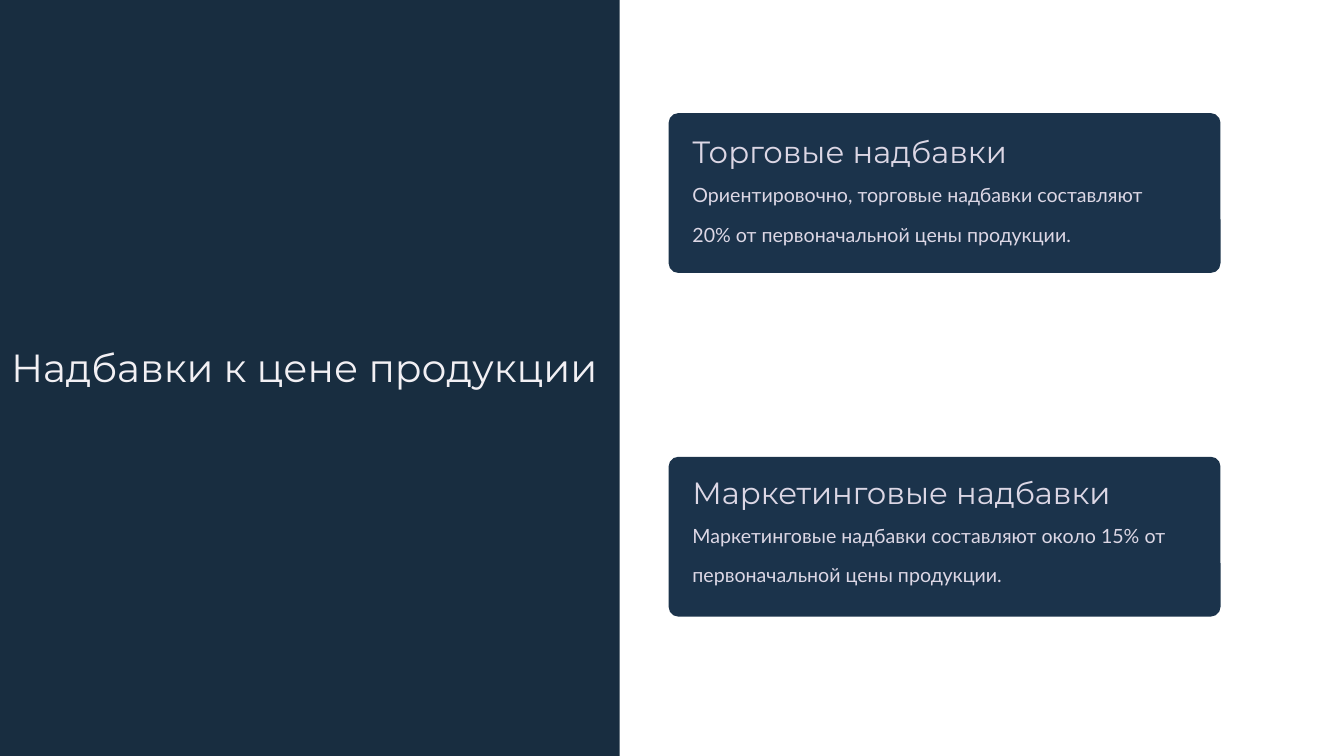
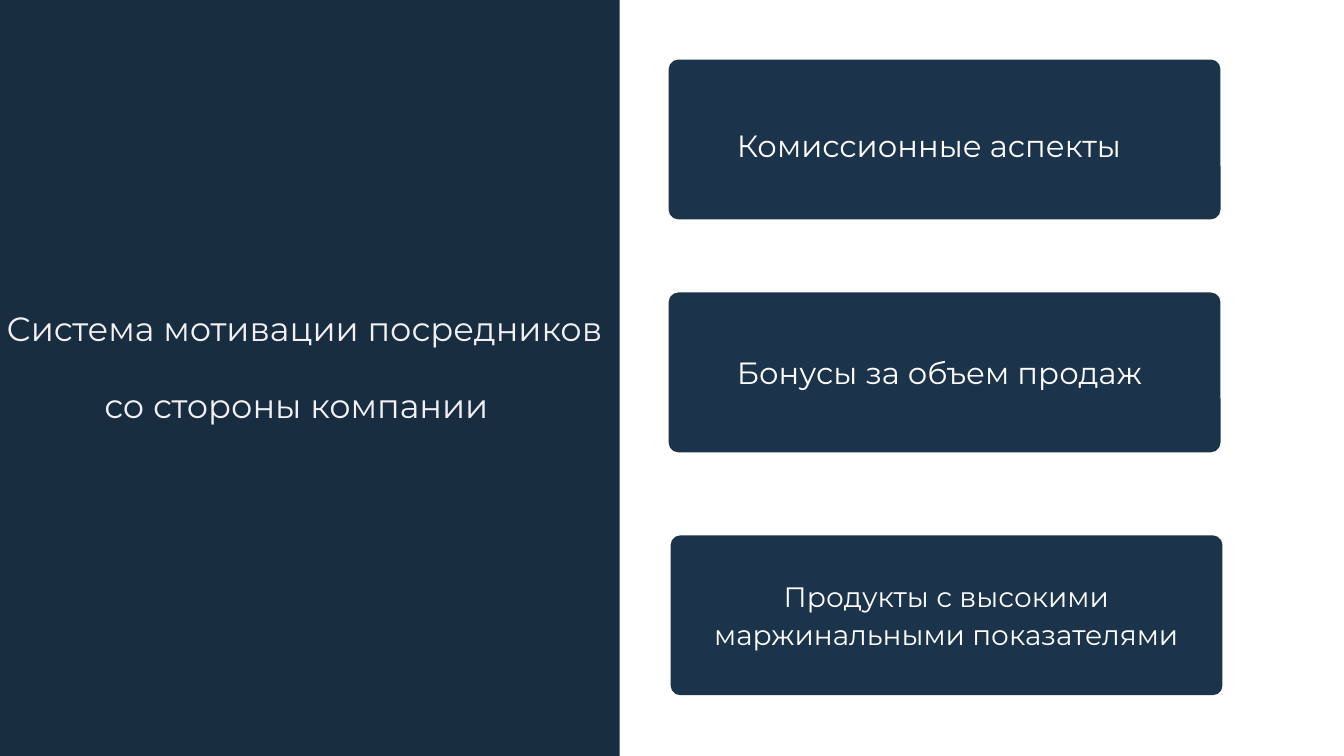
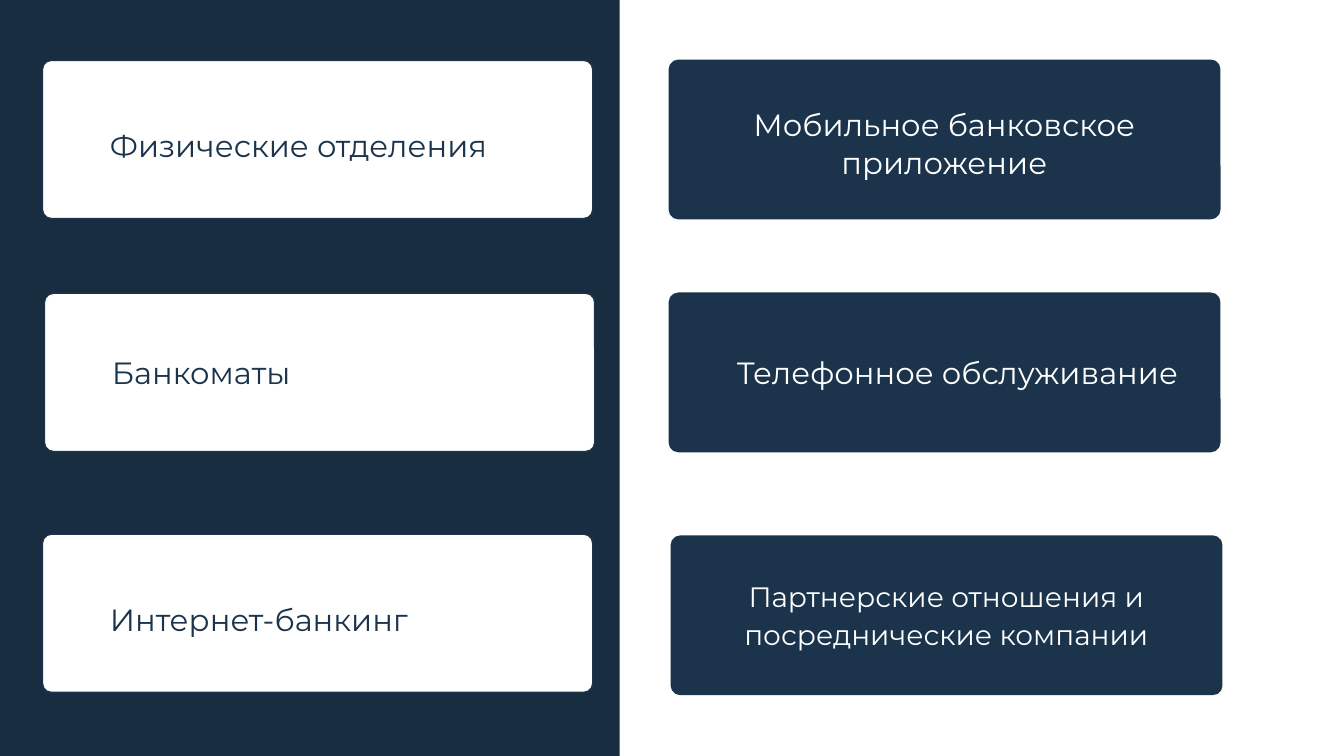
from pptx import Presentation
from pptx.dml.color import RGBColor
from pptx.enum.shapes import MSO_SHAPE
from pptx.enum.text import PP_ALIGN
from pptx.util import Cm, Pt

RECTANGLE = MSO_SHAPE.RECTANGLE
ROUNDED = MSO_SHAPE.ROUNDED_RECTANGLE
LEFT, CENTER = PP_ALIGN.LEFT, PP_ALIGN.CENTER

# Shared style
PANEL, NAVY, WHITE = "182D40", "1B334B", "FFFFFF"
TITLE_COLOR, LAVENDER = "F2F0F4", "DCD7E5"
TITLE_FONT, BODY_FONT = "Montserrat", "Lato"
TITLE_SPACING, LABEL_SPACING, BODY_SPACING = 54.7, 27.3, 28

# Shared geometry in centimetres
SLIDE_WIDTH, SLIDE_HEIGHT = 33.87, 19.05
PANEL_WIDTH = 15.62
CARD_WIDTH, CARD_HEIGHT = 13.87, 3.99
RIGHT_CARDS = [(16.87, 1.52), (16.87, 7.39), (16.92, 13.51)]
LEFT_CARDS = [(1.07, 1.52), (1.12, 7.39), (1.07, 13.46)]


def color(value):
    return RGBColor.from_string(value)


def add_text(slide, box, lines, size, ink, spacing, font=TITLE_FONT, align=LEFT):
    left, top, width, height = map(Cm, box)
    text_frame = slide.shapes.add_textbox(left, top, width, height).text_frame
    text_frame.word_wrap = True
    text_frame.text = "\n".join(lines)
    for paragraph in text_frame.paragraphs:
        paragraph.alignment = align
        paragraph.line_spacing = Pt(spacing)
        for run in paragraph.runs:
            run.font.name = font
            run.font.size = Pt(size)
            run.font.color.rgb = color(ink)
    return text_frame


def add_block(slide, kind, box, fill, line=None):
    shape = slide.shapes.add_shape(kind, *map(Cm, box))
    shape.shadow.inherit = False
    shape.fill.solid()
    shape.fill.fore_color.rgb = color(fill)
    if line:
        shape.line.color.rgb = color(line)
        shape.line.width = Pt(1.09)
    else:
        shape.line.fill.background()
    return shape


def add_slide(presentation):
    """A white slide with the dark panel on the left."""
    slide = presentation.slides.add_slide(presentation.slide_layouts[6])
    add_block(slide, RECTANGLE, (0, 0, PANEL_WIDTH, SLIDE_HEIGHT), PANEL)
    return slide


def add_title(slide, left, top, lines, size):
    box = (left, top, 15.7, 1.95 * len(lines))
    return add_text(slide, box, lines, size, TITLE_COLOR, TITLE_SPACING)


def add_card(slide, position, fill=NAVY):
    card = add_block(slide, ROUNDED, (*position, CARD_WIDTH, CARD_HEIGHT), fill, NAVY)
    card.adjustments[0] = 0.057


def add_description_card(slide, position, inset, heading, body):
    """Heading and description, starting at the given inset from the card top."""
    add_card(slide, position)
    left, top = position[0] + 0.33, position[1] + inset
    add_text(slide, (left, top, 12.6, 0.97), [heading], 21.9, LAVENDER, LABEL_SPACING)
    add_text(slide, (left, top + 0.9, 12.6, 1.78), [body], 14, LAVENDER,
             BODY_SPACING, BODY_FONT)


def add_label_card(slide, position, inset, lines, size=21.9, fill=NAVY, ink=WHITE):
    """One line stands at the left of the card, several lines are centred."""
    add_card(slide, position, fill)
    left, top = position
    if len(lines) > 1:
        box, align = (left + 0.76, top + inset, 12.34, 2.24), CENTER
    else:
        box, align = (left + 1.45, top + inset, 12, 0.97), LEFT
    add_text(slide, box, lines, size, ink, LABEL_SPACING, align=align)


def build_markups(presentation):
    slide = add_slide(presentation)
    add_title(slide, 0.03, 7.77, ["Надбавки к цене продукции"], 28)
    add_description_card(
        slide, (16.87, 2.87), 0.33, "Торговые надбавки",
        "Ориентировочно, торговые надбавки составляют "
        "20% от первоначальной цены продукции.")
    add_description_card(
        slide, (16.87, 11.53), 0.25, "Маркетинговые надбавки",
        "Маркетинговые надбавки составляют около 15% от "
        "первоначальной цены продукции.")


def build_motivation(presentation):
    slide = add_slide(presentation)
    title = add_title(slide, -0.08, 6.73,
                      ["Система мотивации посредников", "со стороны компании"], 24)
    # Indent of the second title line
    title.paragraphs[1]._p.get_or_add_pPr().set("marL", str(Cm(2.46)))
    labels = [
        (1.52, ["Комиссионные аспекты"], 21.9),
        (1.37, ["Бонусы за объем продаж"], 21.9),
        (0.84, ["Продукты с высокими", "маржинальными показателями"], 20),
    ]
    for position, label in zip(RIGHT_CARDS, labels):
        add_label_card(slide, position, *label)


def build_channels(presentation):
    slide = add_slide(presentation)
    # Dark cards on the right
    right_labels = [
        (0.99, ["Мобильное банковское", "приложение"], 21.9),
        (1.37, ["Телефонное обслуживание"], 21.9),
        (0.84, ["Партнерские отношения и", "посреднические компании"], 20),
    ]
    for position, label in zip(RIGHT_CARDS, right_labels):
        add_label_card(slide, position, *label)
    # White cards on the panel
    left_labels = [
        (1.52, ["Физические отделения"]),
        (1.37, ["Банкоматы"]),
        (1.52, ["Интернет-банкинг"]),
    ]
    for position, label in zip(LEFT_CARDS, left_labels):
        add_label_card(slide, position, *label, fill=WHITE, ink=NAVY)


presentation = Presentation()
presentation.slide_width = Cm(SLIDE_WIDTH)
presentation.slide_height = Cm(SLIDE_HEIGHT)
build_markups(presentation)
build_motivation(presentation)
build_channels(presentation)
presentation.save("out.pptx")
